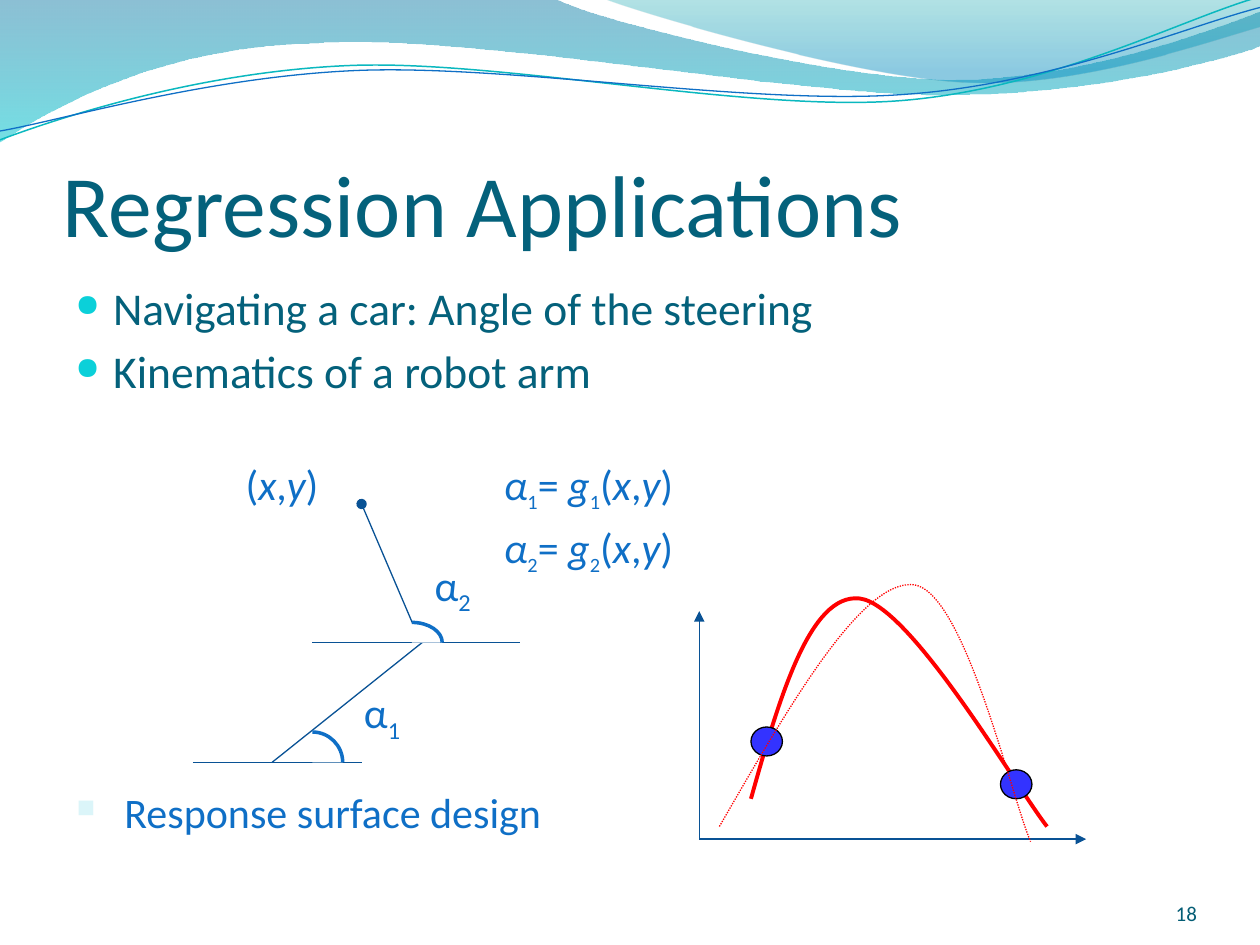
from copy import deepcopy
from math import cos, radians, sin

from lxml import etree
from pptx import Presentation
from pptx.dml.color import RGBColor
from pptx.enum.dml import MSO_LINE
from pptx.enum.shapes import MSO_CONNECTOR, MSO_SHAPE
from pptx.enum.text import MSO_ANCHOR, MSO_AUTO_SIZE, PP_ALIGN
from pptx.oxml.ns import qn
from pptx.util import Cm, Pt

STRAIGHT = MSO_CONNECTOR.STRAIGHT
ELLIPSE = MSO_SHAPE.OVAL
TOP, BOTTOM = MSO_ANCHOR.TOP, MSO_ANCHOR.BOTTOM
LEFT, RIGHT = PP_ALIGN.LEFT, PP_ALIGN.RIGHT
FIT_SHAPE = MSO_AUTO_SIZE.SHAPE_TO_FIT_TEXT
DOTTED = MSO_LINE.ROUND_DOT

COLORS = {
    "title": "04617B", "text": "0F6FC6", "number": "045D75",
    "line": "095295", "curve": "FF0000", "dot": "3333FF",
    "outline": "000000", "white": "FFFFFF", "teal": "0AB8BF",
    "round_bullet": "0BD0D9", "square_bullet": "DBF5F9",
    "wave_top": "0074A1", "wave_bottom": "00C6CF",
    "crest_top": "00A1A9", "crest_bottom": "008BBF",
}


def inch(value):
    return Cm(value * 2.54)


def color(name):
    return RGBColor.from_string(COLORS[name])


def turned(points, center, degrees):
    """Turn points clockwise about a center."""
    c, s = cos(radians(degrees)), sin(radians(degrees))
    cx, cy = center
    return [(cx + (x - cx) * c - (y - cy) * s, cy + (x - cx) * s + (y - cy) * c)
            for x, y in points]


class Painter:
    """Draws on one page in one font; places are in inches."""

    def __init__(self, page, font="Calibri"):
        self.page = page
        self.font = font

    def text(self, at, paras, size, ink="text", anchor=TOP, align=LEFT, sub_size=None,
             insets=(0.1, 0.05, 0.1, 0.05), indent=0, bullet=None, wrap=True):
        """Each para is a list of (words, style); style is "", "i" or "sub"."""
        box = self.page.shapes.add_textbox(*map(inch, at))
        frame = box.text_frame
        frame.word_wrap = wrap
        if not wrap:
            frame.auto_size = FIT_SHAPE
        frame.vertical_anchor = anchor
        (frame.margin_left, frame.margin_top,
         frame.margin_right, frame.margin_bottom) = map(inch, insets)
        for index, spans in enumerate(paras):
            para = frame.add_paragraph() if index else frame.paragraphs[0]
            para.alignment = align
            if indent:
                self.indent(para, indent, size, bullet)
            for words, style in spans:
                lowered = style == "sub" and sub_size
                self.span(para, words, style, lowered or size, ink)

    def indent(self, para, indent, size, bullet):
        para.space_before = Pt(0.2 * size)
        props = para._p.get_or_add_pPr()
        props.set("marL", str(inch(indent)))
        props.set("indent", str(-inch(indent)))
        if bullet:
            sign, ink, percent = bullet
            tint = etree.SubElement(props, qn("a:buClr"))
            etree.SubElement(tint, qn("a:srgbClr"), val=COLORS[ink])
            etree.SubElement(props, qn("a:buSzPct"), val=str(percent * 1000))
            etree.SubElement(props, qn("a:buChar"), char=sign)

    def span(self, para, words, style, size, ink):
        span = para.add_run()
        span.text = words
        span.font.name = self.font
        span.font.size = Pt(size)
        span.font.color.rgb = color(ink)
        span.font.italic = style == "i"
        if style == "sub":
            span._r.get_or_add_rPr().set("baseline", "-25000")

    def line(self, start, end, tail=None):
        line = self.page.shapes.add_connector(STRAIGHT, *map(inch, (*start, *end)))
        line.line.color.rgb = color("line")
        line.line.width = Pt(0.75)
        if tail:
            etree.SubElement(line.line._get_or_add_ln(), qn("a:tailEnd"), type=tail)
        etree.SubElement(line._element.spPr, qn("a:effectLst"))

    def outline(self, points, kinds, closed=False):
        """Kinds has a letter per segment: L takes one point, C (Bezier) three."""
        (x, y), *rest = [(inch(x), inch(y)) for x, y in points]
        builder = self.page.shapes.build_freeform(x, y)
        builder.add_line_segments(rest, close=closed)
        shape = builder.convert_to_shape()
        shape.shadow.inherit = False
        steps = iter(list(shape._element.iter(qn("a:lnTo"))))
        for kind in kinds:
            step = next(steps)
            if kind == "C":
                bezier = etree.Element(qn("a:cubicBezTo"))
                step.addprevious(bezier)
                for part in (step, next(steps), next(steps)):
                    bezier.append(part[0])
                    part.getparent().remove(part)
        return shape

    def stroke(self, points, ink, width, dash=None):
        shape = self.outline(points, "C" * (len(points) // 3))
        shape.fill.background()
        shape.line.color.rgb = color(ink)
        shape.line.width = Pt(width)
        if dash:
            shape.line.dash_style = dash
        return shape

    def tilted_stroke(self, points, center, ink, width):
        shape = self.stroke(turned(points, center, 2.7), ink, width)
        shape.rotation = 357.3

    def wave(self, points, kinds, stops):
        """Fill downwards through two stops of (position, colour, opacity)."""
        shape = self.outline(points, kinds, closed=True)
        shape.line.fill.background()
        shape.fill.gradient()
        shape.fill.gradient_angle = 270
        for stop, (position, ink, opacity) in zip(shape.fill.gradient_stops, stops):
            stop.position = position
            stop.color.rgb = color(ink)
            tint = stop._gs.find(qn("a:srgbClr"))
            etree.SubElement(tint, qn("a:alpha"), val=str(opacity * 1000))

    def angle_mark(self, x, y, width, height):
        """A white quarter ellipse with its corner at x, y, stroked on its arc only."""
        shape = self.outline(
            [(x, y - height), (x + 0.55 * width, y - height),
             (x + width, y - 0.55 * height), (x + width, y), (x, y)], "CL", closed=True)
        shape.fill.solid()
        shape.fill.fore_color.rgb = color("white")
        shape.line.color.rgb = color("text")
        shape.line.width = Pt(2)
        wedge = next(shape._element.iter(qn("a:path")))
        arc = deepcopy(wedge)
        for step in arc[2:]:
            arc.remove(step)
        arc.set("fill", "none")
        wedge.set("stroke", "0")
        wedge.addprevious(arc)

    def dot(self, x, y):
        dot = self.page.shapes.add_shape(ELLIPSE, *map(inch, (x, y, 0.25, 0.23)))
        dot.shadow.inherit = False
        dot.fill.solid()
        dot.fill.fore_color.rgb = color("dot")
        dot.line.color.rgb = color("outline")
        dot.line.width = Pt(0.75)


def draw_header(paint):
    paint.wave([(0, 0), (4.4, -0.01), (4.76, 0.17), (6.64, 0.63), (7.58, 0.63),
                (8.53, 0.63), (9.58, 0.26), (10, 0.09), (10.01, 0.36),
                (9.83, 0.44), (8.7, 0.76), (7.46, 0.75), (6.22, 0.75), (3.82, 0.28),
                (2.57, 0.34), (1.29, 0.36), (0.46, 0.83), (-0.01, 1.13)],
               "LCCLCCC", [(0, "wave_top", 45), (1, "wave_bottom", 55)])
    paint.wave([(4.79, -0.01), (5.09, 0.11), (6.82, 0.62), (7.69, 0.65),
                (8.56, 0.69), (9.61, 0.32), (10, 0.21), (10, 0)],
               "CCL", [(0, "crest_top", 30), (0.8, "crest_bottom", 45)])
    paint.tilted_stroke([(0, 1.11), (0.48, 0.93), (1.58, 0.57), (2.77, 0.52), (3.95, 0.47),
                         (5.93, 0.89), (7.13, 0.8), (8.33, 0.71), (9.38, 0.15),
                         (9.98, -0.02)], (4.99, 0.58), "teal", 0.85)
    paint.tilted_stroke([(0, 1.04), (0.47, 0.96), (1.64, 0.61), (2.83, 0.56), (4.03, 0.51),
                         (5.97, 0.84), (7.17, 0.75), (8.36, 0.67), (9.41, 0.21),
                         (10, 0.06)], (5, 0.59), "text", 0.75)


def draw_robot_arm(paint, point):
    paint.line((1.53, 6.05), (2.87, 6.05))
    paint.line((2.16, 6.05), (3.35, 5.1))
    paint.line((3.34, 5.1), (2.87, 4), tail="oval")
    paint.line((2.48, 5.1), (4.13, 5.1))
    for digit, x, y in (("1", 2.79, 5.4), ("2", 3.35, 4.39)):
        paint.text((x, y, 0.51, 0.5), [[("α", ""), (digit, "sub")]], 24, wrap=False)
    paint.angle_mark(3.27, 5.1, 0.24, 0.16)
    paint.angle_mark(2.48, 6.05, 0.24, 0.24)
    paint.text((1.85, 3.59, 0.79, 0.51), [point], 24, wrap=False)


def draw_response_plot(paint):
    origin = (5.55, 6.66)
    paint.line(origin, (8.62, 6.66), tail="triangle")
    paint.line(origin, (5.55, 4.85), tail="triangle")
    paint.stroke([(5.96, 6.34), (6.19, 5.52), (6.43, 4.71), (6.82, 4.75),
                  (7.22, 4.79), (8.06, 6.24), (8.31, 6.56)], "curve", 2.25)
    paint.dot(5.96, 5.77)
    paint.dot(7.94, 6.11)
    paint.stroke([(5.71, 6.56), (6.27, 5.59), (6.83, 4.62), (7.24, 4.64),
                  (7.65, 4.66), (8.03, 6.34), (8.18, 6.68)], "curve", 0.75, DOTTED)


def main():
    deck = Presentation()
    deck.slide_width, deck.slide_height = inch(10), inch(7.5)
    paint = Painter(deck.slides.add_slide(deck.slide_layouts[6]))
    point = [("(", ""), ("x", "i"), (",", ""), ("y", "i"), (")", "")]
    draw_header(paint)
    paint.text((0.5, 0.77, 9, 1.25), [[("Regression Applications", "")]], 50,
               "title", anchor=BOTTOM, insets=(0, 0.05, 0, 0))
    paint.text((0.5, 2.17, 9, 1.98), [[("Navigating a car: Angle of the steering", "")],
                                      [("Kinematics of a robot arm", "")]],
               26, "title", indent=0.3, bullet=("●", "round_bullet", 68))
    paint.text((3.9, 3.59, 2.44, 1.18),
               [[("α", "i"), (n, "sub"), ("= ", ""), ("g", "i"), (n, "sub"), *point]
                for n in "12"], 24, sub_size=20, indent=0.38)
    draw_robot_arm(paint, point)
    paint.text((0.51, 6.19, 9, 0.71), [[("Response surface design", "")]], 24,
               indent=0.38, bullet=("■", "square_bullet", 60))
    draw_response_plot(paint)
    paint.text((9.14, 6.95, 0.36, 0.4), [[("18", "")]], 12, "number",
               anchor=BOTTOM, align=RIGHT, insets=(0, 0, 0, 0))
    deck.save("out.pptx")


if __name__ == "__main__":
    main()
